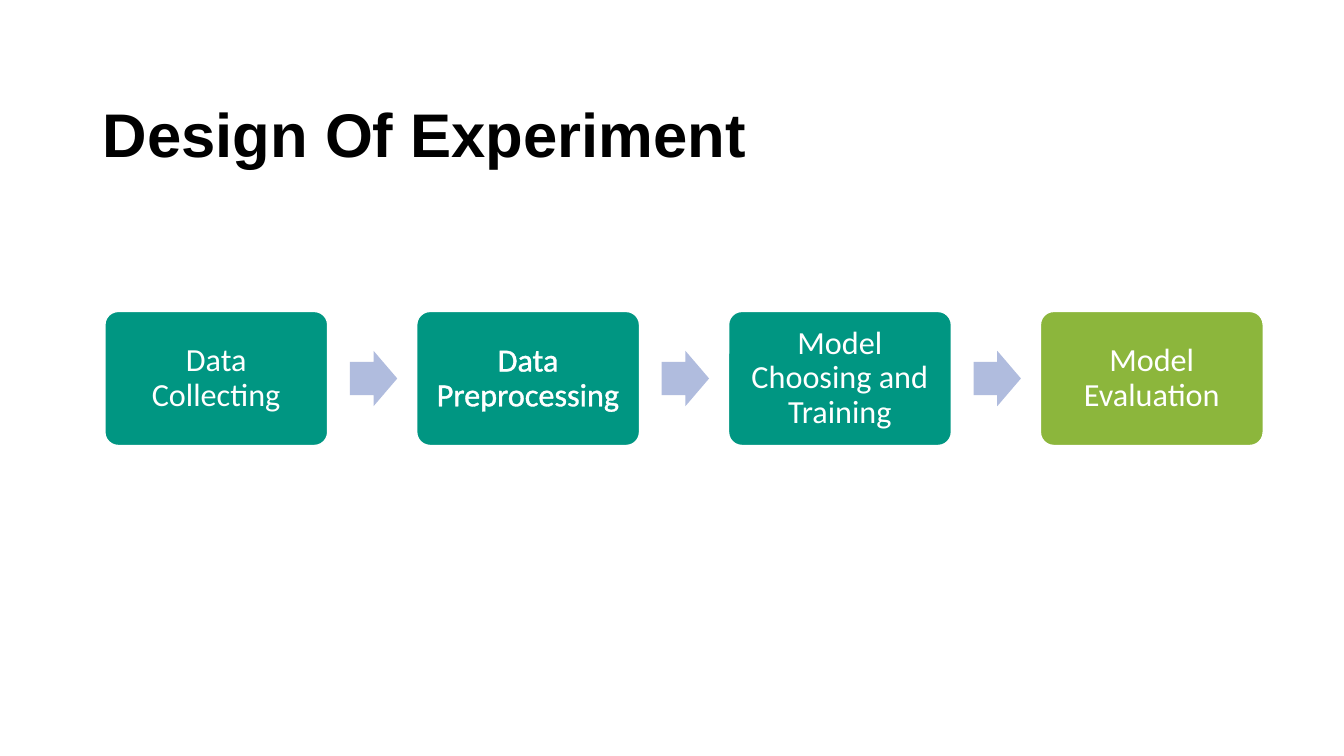
import pptx
import pptx.dml.color
import pptx.enum.shapes
import pptx.enum.text
import pptx.oxml
import pptx.oxml.ns
import pptx.util

SHAPES = pptx.enum.shapes.MSO_SHAPE
ALIGN = pptx.enum.text.PP_ALIGN
MIDDLE = pptx.enum.text.MSO_ANCHOR.MIDDLE
inches = pptx.util.Inches

# Process row: equal columns, arrows centred on the boxes (inches)
ROW_LEFT, ROW_TOP, COLUMN_PITCH = 1.04, 3.09, 3.093
BOX_WIDTH, BOX_HEIGHT = 2.21, 1.33
ARROW_OFFSET, ARROW_WIDTH, ARROW_HEIGHT = 2.43, 0.47, 0.55

TEAL, GREEN, LAVENDER, WHITE, BLACK = "009682", "8CB63C", "B0BCDE", "FFFFFF", "000000"

# Label, box colour, whether the letters are outlined
STEPS = [
    ("Data Collecting", TEAL, False),
    ("Data Preprocessing", TEAL, True),
    ("Model Choosing and Training", TEAL, False),
    ("Model Evaluation", GREEN, False),
]


def color(hex_string):
    return pptx.dml.color.RGBColor.from_string(hex_string)


def format_text(paragraph, font_name, size, hex_string, alignment, bold=False):
    paragraph.alignment = alignment
    paragraph.line_spacing = 0.9
    for run in paragraph.runs:
        run.font.name = font_name
        run.font.size = pptx.util.Pt(size)
        run.font.bold = bold
        run.font.color.rgb = color(hex_string)


def outline_letters(run, hex_string, width):
    line = pptx.oxml.parse_xml(
        f'<a:ln {pptx.oxml.ns.nsdecls("a")} w="{pptx.util.Pt(width)}">'
        f'<a:solidFill><a:srgbClr val="{hex_string}"/></a:solidFill></a:ln>')
    run.font._element.insert(0, line)


def add_block(slide, kind, left, top, width, height, fill, adjustments):
    shape = slide.shapes.add_shape(
        kind, inches(left), inches(top), inches(width), inches(height))
    shape.shadow.inherit = False
    shape.fill.solid()
    shape.fill.fore_color.rgb = color(fill)
    shape.line.fill.background()
    for index, value in enumerate(adjustments):
        shape.adjustments[index] = value
    return shape


def add_step(slide, left, label, fill, outlined):
    box = add_block(slide, SHAPES.ROUNDED_RECTANGLE, left, ROW_TOP,
                    BOX_WIDTH, BOX_HEIGHT, fill, [0.1])
    box.line.color.rgb = color(WHITE)
    box.line.width = pptx.util.Pt(1)
    frame = box.text_frame
    frame.word_wrap = True
    frame.vertical_anchor = MIDDLE
    frame.margin_left = frame.margin_right = inches(0.1)
    frame.margin_top = frame.margin_bottom = inches(0.1)
    frame.text = label
    format_text(frame.paragraphs[0], "Calibri", 23, WHITE, ALIGN.CENTER)
    if outlined:
        outline_letters(frame.paragraphs[0].runs[0], WHITE, 0.75)


def add_arrow(slide, left):
    top = ROW_TOP + (BOX_HEIGHT - ARROW_HEIGHT) / 2
    add_block(slide, SHAPES.RIGHT_ARROW, left, top,
              ARROW_WIDTH, ARROW_HEIGHT, LAVENDER, [0.6, 0.5])


def set_title(slide, text):
    title = slide.shapes.title
    title.left, title.top = inches(0.92), inches(0.78)
    title.width, title.height = inches(11.5), inches(1.16)
    title.text_frame.text = text
    title.text_frame.word_wrap = True
    title.text_frame.vertical_anchor = MIDDLE
    format_text(title.text_frame.paragraphs[0], "Arial", 44, BLACK, ALIGN.LEFT, bold=True)


def main():
    presentation = pptx.Presentation()
    presentation.slide_width = inches(13.33)
    presentation.slide_height = inches(7.5)
    slide = presentation.slides.add_slide(presentation.slide_layouts[5])

    set_title(slide, "Design Of Experiment")

    # Steps, each followed by an arrow except the last
    for column, (label, fill, outlined) in enumerate(STEPS):
        left = ROW_LEFT + column * COLUMN_PITCH
        add_step(slide, left, label, fill, outlined)
        if column < len(STEPS) - 1:
            add_arrow(slide, left + ARROW_OFFSET)

    presentation.save("out.pptx")


main()
